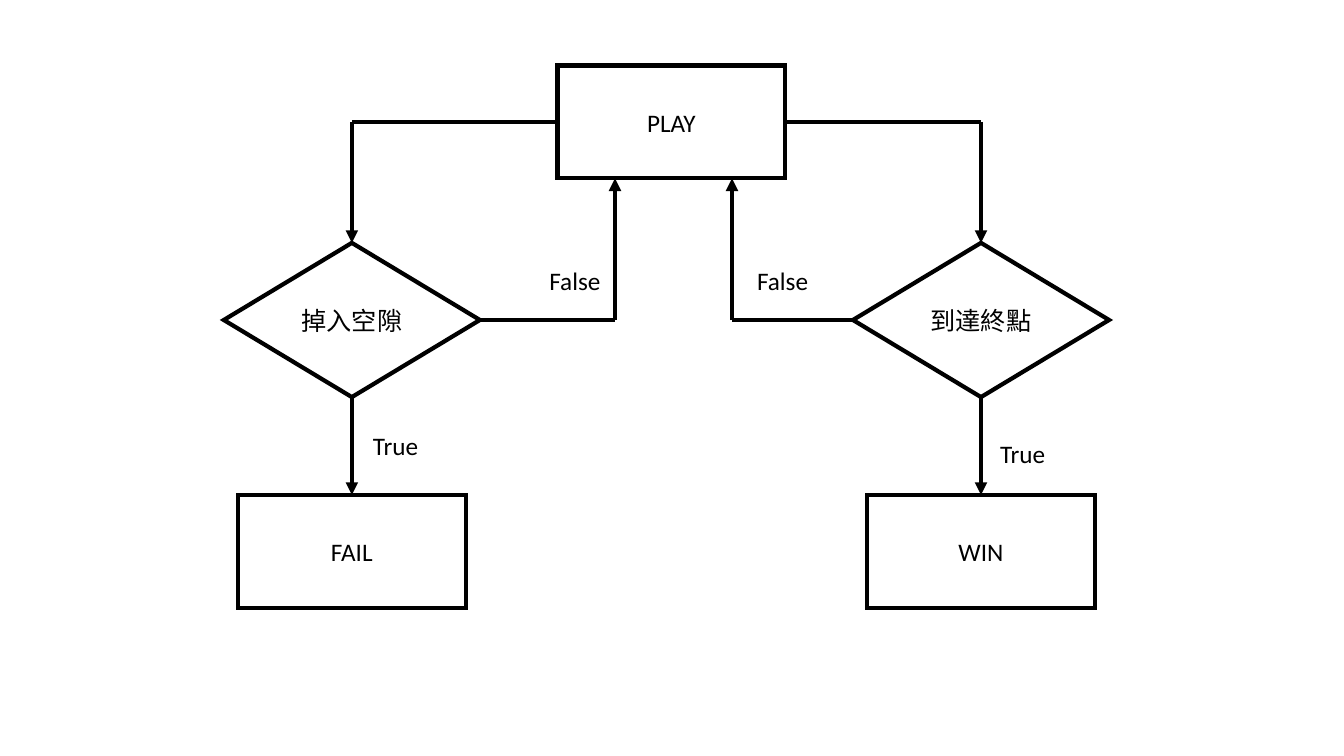
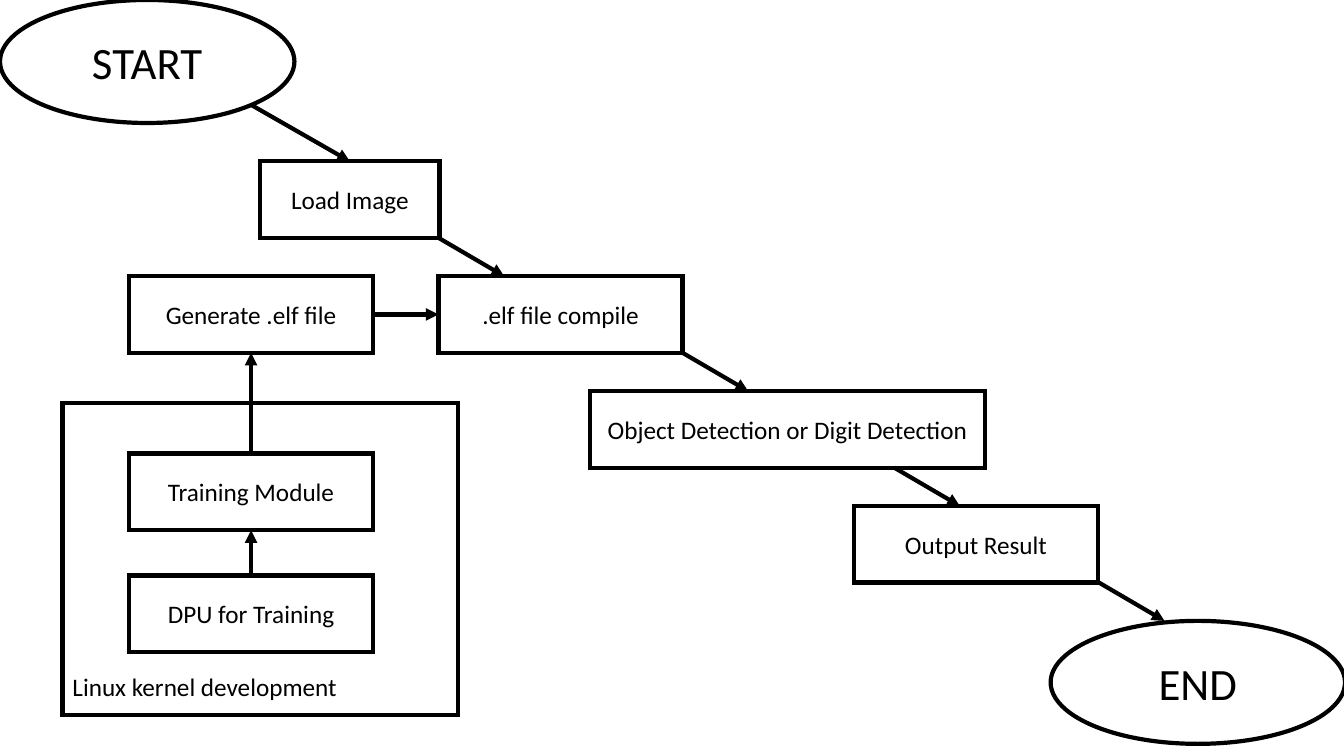
from lxml import etree
from pptx import Presentation
from pptx.dml.color import RGBColor
from pptx.enum.shapes import MSO_CONNECTOR, MSO_SHAPE
from pptx.enum.text import MSO_ANCHOR, PP_ALIGN
from pptx.oxml.ns import qn
from pptx.util import Inches, Pt

RECTANGLE = MSO_SHAPE.RECTANGLE
DECISION = MSO_SHAPE.FLOWCHART_DECISION
ELLIPSE = MSO_SHAPE.OVAL
STRAIGHT = MSO_CONNECTOR.STRAIGHT
LEFT, CENTER = PP_ALIGN.LEFT, PP_ALIGN.CENTER
MIDDLE, BOTTOM = MSO_ANCHOR.MIDDLE, MSO_ANCHOR.BOTTOM
SIDE_TOP, SIDE_LEFT, SIDE_BOTTOM, SIDE_RIGHT = range(4)

COLORS = {"line": "000000", "text": "000000"}
FONT = "Calibri"
LINE_WIDTH = 3


def write_text(shape, text, size=18, align=CENTER, anchor=MIDDLE, wrap=False,
               margins=(0, 0, 0, 0)):
    """Fill a shape with one paragraph; margins are left, top, right, bottom."""
    frame = shape.text_frame
    frame.word_wrap = wrap
    frame.vertical_anchor = anchor
    (frame.margin_left, frame.margin_top,
     frame.margin_right, frame.margin_bottom) = map(Inches, margins)
    paragraph = frame.paragraphs[0]
    paragraph.alignment = align
    run = paragraph.add_run()
    run.text = text
    run.font.size = Pt(size)
    run.font.name = FONT
    run.font.color.rgb = RGBColor.from_string(COLORS["text"])


def style_line(item):
    """Apply the common outline and return its XML element."""
    item.line.color.rgb = RGBColor.from_string(COLORS["line"])
    item.line.width = Pt(LINE_WIDTH)
    return item.element.spPr.find(qn("a:ln"))


def add_node(slide, kind, text, left, top, extent, **text_format):
    shape = slide.shapes.add_shape(
        kind, Inches(left), Inches(top), *map(Inches, extent))
    shape.shadow.inherit = False
    shape.fill.background()
    etree.SubElement(style_line(shape), qn("a:miter"), lim="800000")
    write_text(shape, text, **text_format)
    return shape


def add_label(slide, text, left, top, width):
    box = slide.shapes.add_textbox(
        Inches(left), Inches(top), Inches(width), Inches(0.4))
    write_text(box, text, align=LEFT, margins=(0.1, 0.05, 0.1, 0.05))


def add_arrow(slide, start, end, head=True):
    """Draw a line between two ends, each a point or a (shape, side) pair."""
    connector = slide.shapes.add_connector(STRAIGHT, 0, 0, 0, 0)
    if hasattr(start[0], "text_frame"):
        connector.begin_connect(*start)
    else:
        connector.begin_x, connector.begin_y = map(Inches, start)
    if hasattr(end[0], "text_frame"):
        connector.end_connect(*end)
    else:
        connector.end_x, connector.end_y = map(Inches, end)
    line = style_line(connector)
    if head:
        etree.SubElement(line, qn("a:tailEnd"), type="triangle")
    etree.SubElement(connector.element.spPr, qn("a:effectLst"))


def add_bent_arrow(slide, start, corner, end):
    add_arrow(slide, start, corner, head=False)
    add_arrow(slide, corner, end)


def build_game_flow(slide):
    box, diamond = (2.26, 1.12), (2.54, 1.53)
    play_left, play_top = 5.53, 0.65
    play_middle, play_bottom = play_top + box[1] / 2, play_top + box[1]
    decision_top, result_top = 2.41, 4.91
    decision_middle = decision_top + diamond[1] / 2
    play = add_node(slide, RECTANGLE, "PLAY", play_left, play_top, box)

    branches = [
        # centre, condition, result, outer side, inner side, return x, labels
        (3.49, "掉入空隙", "FAIL", SIDE_LEFT, SIDE_RIGHT, 6.1, 5.35, (3.6, 4.22)),
        (9.73, "到達終點", "WIN", SIDE_RIGHT, SIDE_LEFT, 7.26, 7.41, (9.82, 4.3)),
    ]
    for (center, condition, outcome, outer, inner,
         return_x, false_left, true_at) in branches:
        decision = add_node(slide, DECISION, condition,
                            center - diamond[0] / 2, decision_top, diamond)
        result = add_node(slide, RECTANGLE, outcome,
                          center - box[0] / 2, result_top, box)
        add_bent_arrow(slide, (play, outer), (center, play_middle),
                       (decision, SIDE_TOP))
        add_bent_arrow(slide, (decision, inner), (return_x, decision_middle),
                       (return_x, play_bottom))
        add_arrow(slide, (decision, SIDE_BOTTOM), (result, SIDE_TOP))
        add_label(slide, "False", false_left, 2.58, 0.71)
        add_label(slide, "True", *true_at, 0.66)


def build_detection_flow(slide):
    box, wide_box, oval = (2.42, 0.76), (3.92, 0.76), (2.92, 1.22)
    first_top, step = 1.6, 1.14

    add_node(slide, ELLIPSE, "START", 0, 0, oval, size=32)
    add_node(slide, ELLIPSE, "END", 10.42, 6.16, oval, size=32)
    stairs = [
        ("Load Image", 2.58, (1.78, 0.76)),
        (".elf file compile", 4.35, box),
        ("Object Detection or Digit Detection", 5.85, wide_box),
        ("Output Result", 8.47, box),
    ]
    load_image, compile_file, *_ = [
        add_node(slide, RECTANGLE, text, left, first_top + index * step, extent)
        for index, (text, left, extent) in enumerate(stairs)]

    add_arrow(slide, (2.49, 1.04), (load_image, SIDE_TOP))
    for index, start_x in enumerate((4.35, 6.77, 8.87, 10.9)):
        start_y = first_top + box[1] + index * step
        add_arrow(slide, (start_x, start_y),
                  (start_x + 0.65, start_y + step - box[1]))

    add_node(slide, RECTANGLE, "Linux kernel development", 0.62, 4,
             (3.92, 3.09), align=LEFT, anchor=BOTTOM,
             margins=(0.1, 0.05, 0.1, 0.13))
    dpu, training, generate = [
        add_node(slide, RECTANGLE, text, 1.28, top, box)
        for text, top in (("DPU for Training", 5.71),
                          ("Training Module", 4.5),
                          ("Generate .elf file", first_top + step))]
    add_arrow(slide, (dpu, SIDE_TOP), (training, SIDE_BOTTOM))
    add_arrow(slide, (training, SIDE_TOP), (generate, SIDE_BOTTOM))
    add_arrow(slide, (generate, SIDE_RIGHT), (compile_file, SIDE_LEFT))


def main():
    presentation = Presentation()
    presentation.slide_width = Inches(13.33)
    presentation.slide_height = Inches(7.5)
    blank = presentation.slide_layouts[6]
    for build in (build_game_flow, build_detection_flow):
        build(presentation.slides.add_slide(blank))
    presentation.save("out.pptx")


if __name__ == "__main__":
    main()
